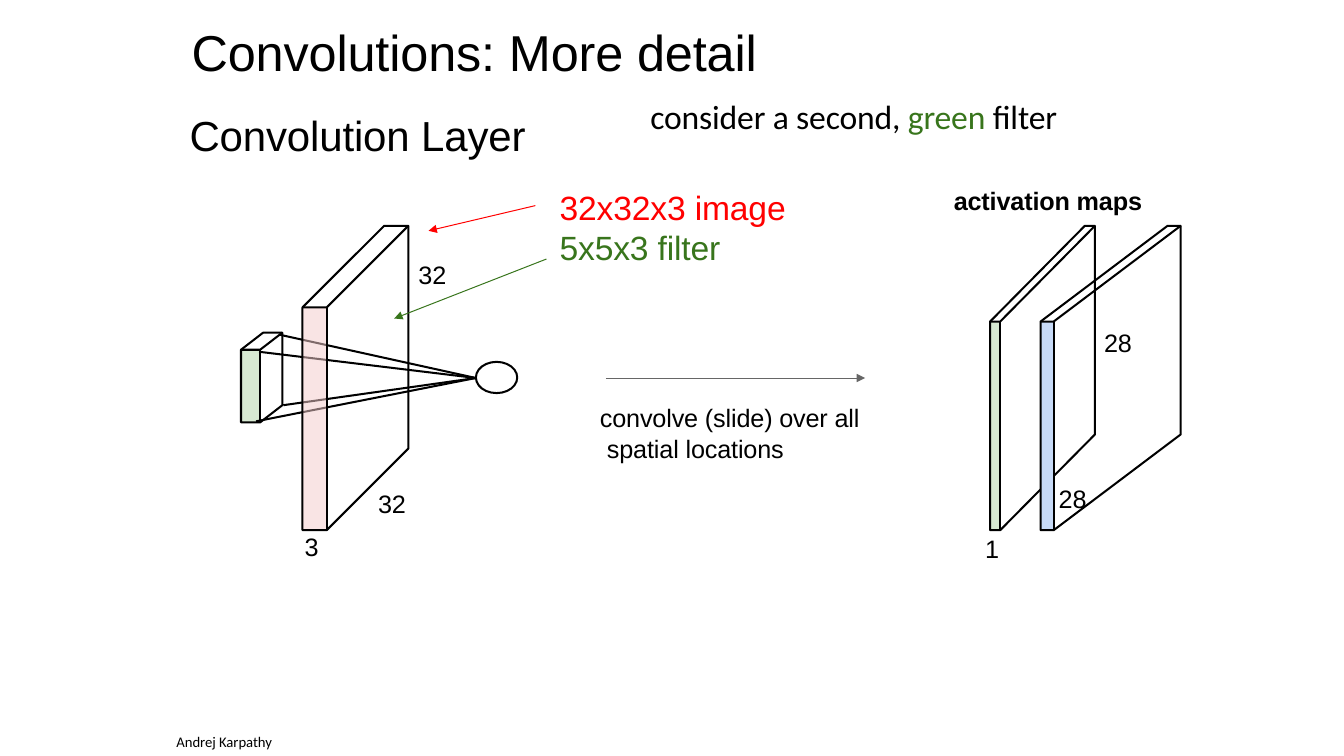
from lxml.etree import SubElement
from pptx import Presentation
from pptx.dml.color import RGBColor
from pptx.enum.shapes import MSO_CONNECTOR, MSO_SHAPE
from pptx.enum.text import MSO_ANCHOR, MSO_AUTO_SIZE, PP_ALIGN
from pptx.oxml.ns import qn
from pptx.util import Inches, Pt

BLACK = RGBColor(0x00, 0x00, 0x00)
GRAY = RGBColor(0x66, 0x66, 0x66)
RED = RGBColor(0xFF, 0x00, 0x00)
GREEN = RGBColor(0x38, 0x75, 0x1C)
PINK = RGBColor(0xF4, 0xCC, 0xCC)
PALE_GREEN = RGBColor(0xD7, 0xE9, 0xD2)
PALE_BLUE = RGBColor(0xC7, 0xDA, 0xF7)


def write(shape, *paragraphs, size=18, font="Arial", bold=False, tracking=-0.1,
          hanging=0, gap=0, line_spacing=None, inset=0.02):
    """Each paragraph is a list of (text, colour) pairs."""
    frame = shape.text_frame
    frame.word_wrap = True
    frame.auto_size = MSO_AUTO_SIZE.NONE
    frame.vertical_anchor = MSO_ANCHOR.TOP
    frame.margin_left = frame.margin_right = frame.margin_bottom = 0
    frame.margin_top = Inches(inset)
    for index, pieces in enumerate(paragraphs):
        paragraph = frame.add_paragraph() if index else frame.paragraphs[0]
        paragraph.alignment = PP_ALIGN.LEFT
        paragraph.space_before = Pt(gap if index else 0)
        if line_spacing:
            paragraph.line_spacing = line_spacing
        if hanging:
            properties = paragraph._p.get_or_add_pPr()
            properties.set("marL", str(Inches(hanging)))
            properties.set("indent", str(-Inches(hanging)))
        for text, color in pieces:
            run = paragraph.add_run()
            run.text = text
            run.font.size = Pt(size)
            run.font.name = font
            run.font.bold = bold
            run.font.color.rgb = color
            run._r.get_or_add_rPr().set("spc", str(round(tracking * 100)))


class Diagram:
    edge_width = Pt(1.44)
    arrow_width = Pt(0.72)

    def __init__(self, slide):
        self.slide = slide
        self.shapes = slide.shapes

    def title(self, text, left, top, width, height, **style):
        title = self.shapes.title
        title.left, title.top = Inches(left), Inches(top)
        title.width, title.height = Inches(width), Inches(height)
        write(title, [(text, BLACK)], **style)

    def label(self, left, top, width, height, *paragraphs, **style):
        box = self.shapes.add_textbox(
            Inches(left), Inches(top), Inches(width), Inches(height))
        write(box, *paragraphs, **style)

    def outline(self, shape):
        shape.shadow.inherit = False
        shape.fill.background()
        shape.line.color.rgb = BLACK
        shape.line.width = self.edge_width

    def slab(self, left, top, thickness, height, run, rise, color, alpha=None):
        """Front face plus the edges of a block receding up and right."""
        face = self.shapes.add_shape(
            MSO_SHAPE.RECTANGLE, Inches(left), Inches(top),
            Inches(thickness), Inches(height))
        face.shadow.inherit = False
        face.fill.solid()
        face.fill.fore_color.rgb = color
        face.line.fill.background()
        if alpha:
            solid = face._element.spPr.find(qn("a:solidFill"))
            SubElement(solid[0], qn("a:alpha"), val=str(alpha * 1000))

        right, bottom = left + thickness, top + height
        back = (right + run, top - rise)
        silhouette = [(left, top), (left + run, top - rise), back,
                      (right + run, bottom - rise), (right, bottom), (left, bottom)]
        ridge = [(left, top), (right, top), back]
        front_edge = [(right, top), (right, bottom)]
        builder = self.shapes.build_freeform(
            Inches(left), Inches(top), scale=1.0)
        for index, points in enumerate((silhouette, ridge, front_edge)):
            corners = [(Inches(x), Inches(y)) for x, y in points]
            if index:
                builder.move_to(*corners[0])
            builder.add_line_segments(corners[1:], close=index == 0)
        self.outline(builder.convert_to_shape())

    def neuron(self, left, top, width, height):
        self.outline(self.shapes.add_shape(
            MSO_SHAPE.OVAL, Inches(left), Inches(top), Inches(width), Inches(height)))

    def line(self, start, end, color=BLACK, arrow=False):
        connector = self.shapes.add_connector(
            MSO_CONNECTOR.STRAIGHT, *(Inches(value) for value in start + end))
        connector.line.color.rgb = color
        connector.line.width = self.arrow_width if arrow else self.edge_width
        if arrow:
            SubElement(connector.line._get_or_add_ln(), qn("a:tailEnd"),
                       type="triangle", w="med", len="med")
        SubElement(connector._element.spPr, qn("a:effectLst"))


def main():
    deck = Presentation()
    deck.slide_width, deck.slide_height = Inches(13.33), Inches(7.5)
    diagram = Diagram(deck.slides.add_slide(deck.slide_layouts[5]))

    # Headings
    diagram.title("Convolutions: More detail", 1.9, 0.19, 5.75, 0.63, size=36)
    diagram.label(1.88, 1.07, 3.45, 0.53, [("Convolution Layer", BLACK)], size=30)
    diagram.label(6.45, 0.93, 4.09, 0.43,
                  [("consider a second, ", BLACK), ("green ", GREEN), ("filter", BLACK)],
                  size=24, font="Calibri")

    # Filter and the neuron it feeds
    diagram.slab(2.39, 3.47, 0.19, 0.72, 0.22, 0.17, PALE_GREEN)
    diagram.neuron(4.72, 3.59, 0.41, 0.31)
    for corner in ((2.54, 4.18), (2.57, 3.49), (2.77, 3.32), (2.81, 4.02)):
        diagram.line(corner, (4.72, 3.75))

    # Input image
    diagram.slab(3, 3.05, 0.24, 2.21, 0.81, 0.81, PINK, alpha=52)
    diagram.label(5.55, 1.83, 2.35, 0.83,
                  [("32x32x3 image", RED)], [("5x5x3 filter", GREEN)], size=24, gap=0.3)
    diagram.line((5.31, 2.04), (4.25, 2.29), RED, arrow=True)
    diagram.line((5.42, 2.57), (3.91, 3.16), GREEN, arrow=True)

    # Sliding step
    diagram.line((6.01, 3.75), (8.58, 3.75), GRAY, arrow=True)
    diagram.label(5.95, 3.97, 2.7, 0.6,
                  [("convolve (slide) over all spatial locations", BLACK)],
                  hanging=0.07, line_spacing=1.01)

    # Activation maps
    diagram.slab(9.82, 3.19, 0.1, 2.07, 0.94, 0.95, PALE_GREEN)
    diagram.slab(10.32, 3.19, 0.13, 2.07, 1.26, 0.95, PALE_BLUE)
    diagram.label(9.46, 1.82, 2, 0.33, [("activation maps", BLACK)], bold=True)

    # Dimensions
    for size, left, top in (("32", 3.75, 4.82), ("32", 4.15, 2.55), ("3", 3.02, 5.25),
                            ("1", 9.77, 5.27), ("28", 10.5, 4.77), ("28", 10.95, 3.23)):
        diagram.label(left, top, 0.35, 0.33, [(size, BLACK)])

    # Credit
    diagram.label(1.75, 7.29, 1.1, 0.15, [("Andrej Karpathy", BLACK)],
                  size=10.5, font="Calibri", tracking=0, line_spacing=Pt(11), inset=0)

    deck.save("out.pptx")


if __name__ == "__main__":
    main()
